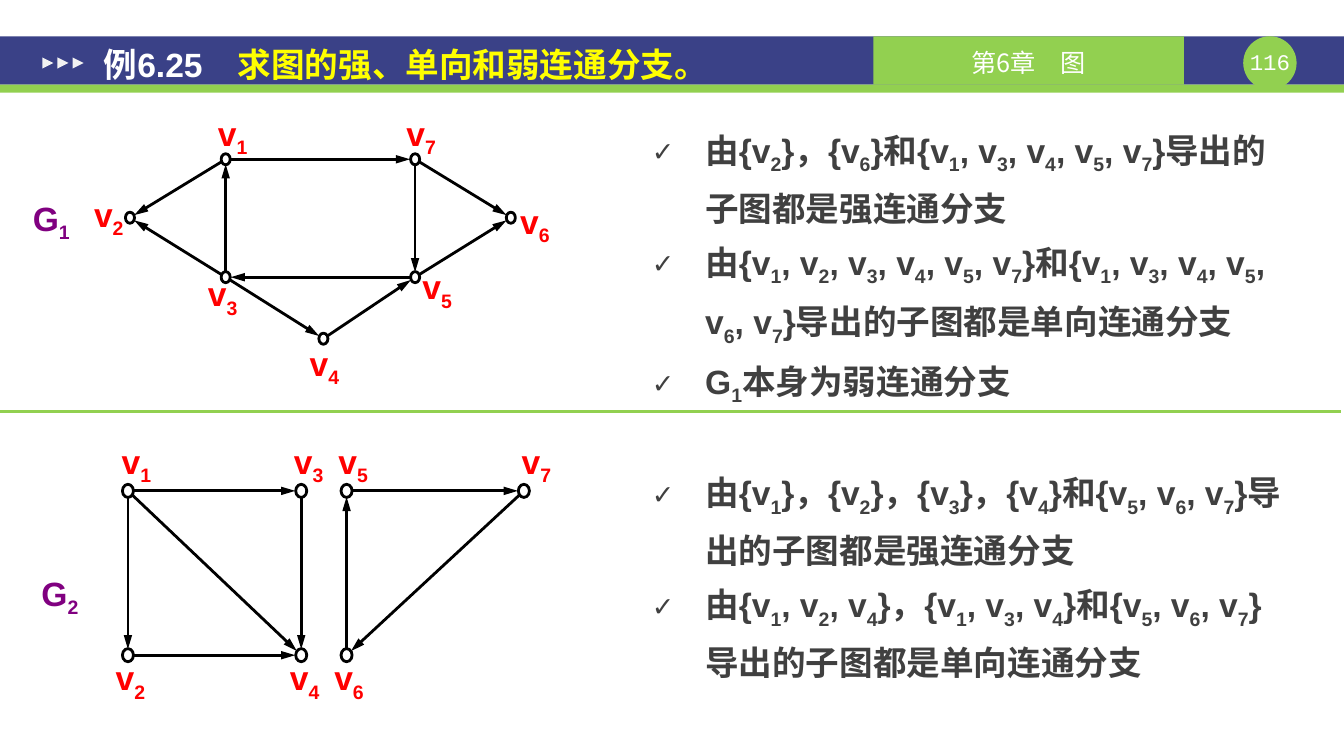
from math import hypot

from lxml import etree
from pptx import Presentation
from pptx.dml.color import RGBColor
from pptx.enum.shapes import MSO_CONNECTOR as LINK, MSO_SHAPE as SHAPE
from pptx.enum.text import MSO_ANCHOR as ANCHOR, PP_ALIGN as ALIGN
from pptx.oxml.ns import qn
from pptx.util import Inches, Pt

COLORS = {"navy": "3A4187", "green": "92D050", "white": "FFFFFF",
          "pale": "F2F2F2", "yellow": "FFFF00", "gray": "404040",
          "purple": "800080", "red": "FF0000", "black": "000000"}
CJK = "Noto Sans CJK SC"

# Node: (centre x, centre y, label left, label top)
G1 = {
    "title": ("G_1", 0.26, 1.96, 0.5),
    "node": (0.09, 0.11), "label_width": 0.36, "trim": 0.05,
    "nodes": {1: (2.24, 1.58, 2.13, 1.12), 2: (1.29, 2.16, 0.9, 1.92),
              3: (2.24, 2.75, 2.03, 2.71), 4: (3.21, 3.36, 3.04, 3.4),
              5: (4.12, 2.75, 4.16, 2.64), 6: (5.07, 2.16, 5.13, 1.99),
              7: (4.12, 1.58, 4.0, 1.12)},
    "edges": [(1, 7), (1, 2), (3, 1), (3, 2), (3, 4), (4, 5), (5, 3),
              (5, 6), (7, 5), (7, 6)],
}
G2 = {
    "title": ("G_2", 0.3, 5.68, 0.59),
    "node": (0.11, 0.13), "label_width": 0.43, "trim": 0.06,
    "nodes": {1: (1.27, 4.87, 1.14, 4.37), 2: (1.27, 6.5, 1.08, 6.52),
              3: (2.99, 4.87, 2.85, 4.37), 4: (2.99, 6.5, 2.81, 6.52),
              5: (3.44, 4.87, 3.29, 4.37), 6: (3.44, 6.5, 3.25, 6.52),
              7: (5.2, 4.87, 5.11, 4.37)},
    "edges": [(1, 3), (1, 2), (1, 4), (2, 4), (3, 4), (5, 7), (6, 5), (7, 6)],
}
G1_BRANCHES = [
    "由{v_2}，{v_6}和{v_1, v_3, v_4, v_5, v_7}导出的子图都是强连通分支",
    "由{v_1, v_2, v_3, v_4, v_5, v_7}和{v_1, v_3, v_4, v_5, v_6, v_7}导出的子图都是单向连通分支",
    "G_1本身为弱连通分支",
]
G2_BRANCHES = [
    "由{v_1}，{v_2}，{v_3}，{v_4}和{v_5, v_6, v_7}导出的子图都是强连通分支",
    "由{v_1, v_2, v_4}，{v_1, v_3, v_4}和{v_5, v_6, v_7}导出的子图都是单向连通分支",
]


def rgb(name):
    return RGBColor.from_string(COLORS[name])


def add_figure(slide, kind, box, fill, outline=None):
    figure = slide.shapes.add_shape(kind, *map(Inches, box))
    figure.shadow.inherit = False
    figure.fill.solid()
    figure.fill.fore_color.rgb = rgb(fill)
    if outline:
        figure.line.color.rgb = rgb(outline)
        figure.line.width = Pt(2)
    else:
        figure.line.fill.background()
    return figure


def set_frame(frame, margins=(0, 0, 0, 0), anchor=ANCHOR.TOP):
    frame.word_wrap = True
    frame.vertical_anchor = anchor
    for side, margin in zip(("left", "top", "right", "bottom"), margins):
        setattr(frame, f"margin_{side}", Inches(margin))
    return frame


def add_box(slide, box, **layout):
    return set_frame(slide.shapes.add_textbox(*map(Inches, box)).text_frame, **layout)


def add_run(paragraph, text, color, size=24, name="Arial", bold=True, subscript=False):
    run = paragraph.add_run()
    run.text = text
    for key, value in {"size": Pt(size), "name": name, "bold": bold}.items():
        setattr(run.font, key, value)
    run.font.color.rgb = rgb(color)
    properties = run.font._element
    etree.SubElement(properties, qn("a:ea")).set("typeface", CJK)
    if subscript:
        properties.set("baseline", "-25000")


def add_indexed(paragraph, text, color):
    """Write text in which the character after each underscore is a subscript."""
    start, *rest = text.split("_")
    add_run(paragraph, start, color)
    for part in rest:
        add_run(paragraph, part[0], color, subscript=True)
        if part[1:]:
            add_run(paragraph, part[1:], color)


def add_label(slide, text, box, color):
    paragraph = add_box(slide, box).paragraphs[0]
    paragraph.alignment = ALIGN.CENTER
    add_indexed(paragraph, text, color)


def add_line(slide, start, end, color, width, arrow=False):
    line = slide.shapes.add_connector(LINK.STRAIGHT, *map(Inches, (*start, *end)))
    line.line.color.rgb = rgb(color)
    line.line.width = Pt(width)
    if arrow:
        head = etree.SubElement(line.line._get_or_add_ln(), qn("a:tailEnd"))
        for key, value in {"type": "triangle", "w": "med", "len": "lg"}.items():
            head.set(key, value)
    etree.SubElement(line._element.spPr, qn("a:effectLst"))


def add_edge(slide, start, end, trim):
    """Draw an arrow between two node centres, shortened at both ends."""
    (x1, y1), (x2, y2) = start, end
    length = hypot(x2 - x1, y2 - y1)
    dx, dy = (x2 - x1) * trim / length, (y2 - y1) * trim / length
    add_line(slide, (x1 + dx, y1 + dy), (x2 - dx, y2 - dy), "black", 2, arrow=True)


def add_graph(slide, graph):
    title, left, top, width = graph["title"]
    add_label(slide, title, (left, top, width, 0.45), "purple")
    nodes = graph["nodes"]
    for source, target in graph["edges"]:
        add_edge(slide, nodes[source][:2], nodes[target][:2], graph["trim"])
    w, h = graph["node"]
    for number, (x, y, label_left, label_top) in nodes.items():
        add_figure(slide, SHAPE.OVAL, (x - w / 2, y - h / 2, w, h), "white", "black")
        add_label(slide, f"v_{number}",
                  (label_left, label_top, graph["label_width"], 0.5), "red")


def add_header(slide):
    add_figure(slide, SHAPE.RECTANGLE, (0, 0.36, 13.34, 0.48), "navy")
    add_figure(slide, SHAPE.RECTANGLE, (0, 0.84, 13.34, 0.08), "green")
    add_figure(slide, SHAPE.OVAL, (12.34, 0.36, 0.53, 0.53), "green")
    page = add_box(slide, (12.34, 0.48, 0.53, 0.27)).paragraphs[0]
    page.alignment = ALIGN.CENTER
    add_run(page, "116", "white", 16, "Courier New", bold=False)

    chapter = add_figure(slide, SHAPE.RECTANGLE, (8.67, 0.36, 3.08, 0.48), "green")
    caption = set_frame(chapter.text_frame, (0.1, 0.04, 0.1, 0), ANCHOR.MIDDLE).paragraphs[0]
    caption.alignment = ALIGN.CENTER
    add_run(caption, "第6章　图", "white", 18, CJK, bold=False)

    for i in range(3):
        marker = add_figure(slide, SHAPE.ISOSCELES_TRIANGLE,
                            (0.42 + 0.15 * i, 0.57, 0.11, 0.11), "pale")
        marker.rotation = 90

    heading = add_box(slide, (0.9, 0.17, 7.7, 0.86), margins=(0.13, 0.07, 0.13, 0.07),
                      anchor=ANCHOR.MIDDLE).paragraphs[0]
    heading.line_spacing = 1.2
    tabs = etree.SubElement(heading._p.get_or_add_pPr(), qn("a:tabLst"))
    etree.SubElement(tabs, qn("a:tab"), pos=str(Inches(1.33)), algn="l")
    add_run(heading, "例6.25\t", "white")
    add_run(heading, "求图的强、单向和弱连通分支。", "yellow")


def add_branches(slide):
    frame = add_box(slide, (6.34, 1.08, 6.56, 6.24), margins=(0.13, 0.07, 0.13, 0.07))
    for i, text in enumerate(G1_BRANCHES + G2_BRANCHES):
        item = frame.add_paragraph() if i else frame.paragraphs[0]
        item.line_spacing = 1.3
        if i == len(G1_BRANCHES):
            item.space_before = Pt(37)
        properties = item._p.get_or_add_pPr()
        properties.set("marL", str(Inches(0.53)))
        properties.set("indent", str(-Inches(0.53)))
        etree.SubElement(properties, qn("a:buSzPct"), val="80000")
        etree.SubElement(properties, qn("a:buFont"), typeface="Arial")
        etree.SubElement(properties, qn("a:buChar"), char="✓")
        add_indexed(item, text, "gray")


def main():
    deck = Presentation()
    deck.slide_width, deck.slide_height = Inches(13.34), Inches(7.5)
    slide = deck.slides.add_slide(deck.slide_layouts[6])
    add_header(slide)
    add_branches(slide)
    for graph in (G1, G2):
        add_graph(slide, graph)
    add_line(slide, (0, 4.08), (13.31, 4.08), "green", 2.25)
    deck.save("out.pptx")


if __name__ == "__main__":
    main()
